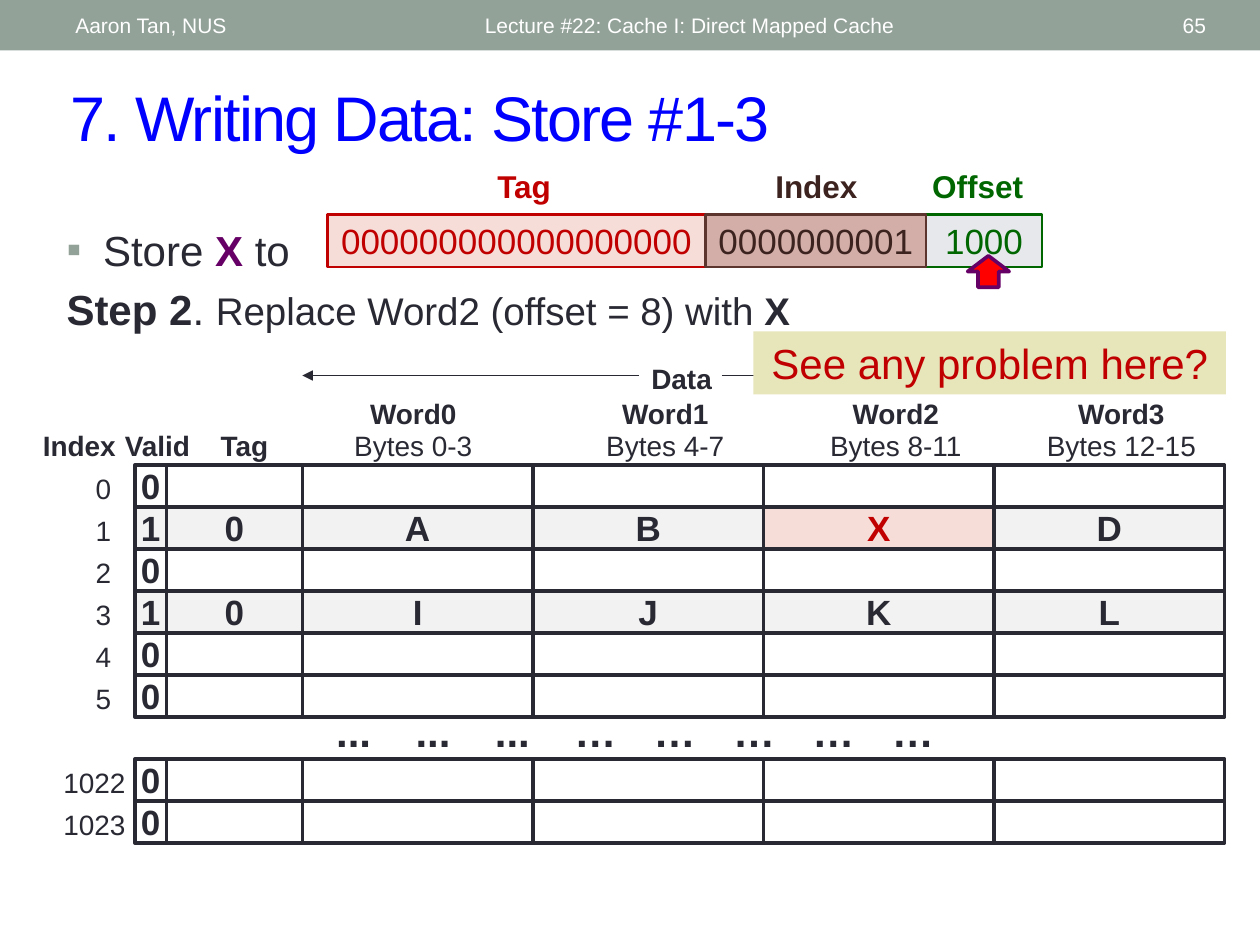
from lxml.etree import SubElement
from pptx import Presentation
from pptx.dml.color import RGBColor
from pptx.enum.shapes import MSO_CONNECTOR, MSO_SHAPE
from pptx.enum.text import MSO_ANCHOR, MSO_AUTO_SIZE, PP_ALIGN
from pptx.oxml.ns import qn
from pptx.util import Inches, Pt

INK = RGBColor(0x29, 0x29, 0x34)
SAGE = RGBColor(0x93, 0xA2, 0x99)
WHITE = RGBColor(0xFF, 0xFF, 0xFF)
BLUE = RGBColor(0x00, 0x00, 0xFF)
RED = RGBColor(0xC0, 0x00, 0x00)
BRIGHT = RGBColor(0xFF, 0x00, 0x00)
PINK = RGBColor(0xF6, 0xDD, 0xD8)
GREEN = RGBColor(0x00, 0x66, 0x00)
PALE = RGBColor(0xE6, 0xE8, 0xEC)
BROWN = RGBColor(0x3C, 0x23, 0x1F)
RUST = RGBColor(0x5B, 0x35, 0x2E)
CLAY = RGBColor(0xD3, 0xAE, 0xA8)
PURPLE = RGBColor(0x66, 0x00, 0x66)
SAND = RGBColor(0xE7, 0xE5, 0xBA)
GREY = RGBColor(0xF2, 0xF2, 0xF2)

LEFT, CENTER, RIGHT = PP_ALIGN.LEFT, PP_ALIGN.CENTER, PP_ALIGN.RIGHT

# Cache table: column widths, top edge and row pitch in inches
WIDTHS = [0.25, 1.08] + [1.83] * 4
GRID_X, GRID_Y, ROW_H = 1.07, 3.69, 1 / 3
BLANK = ["0"] + [""] * 5
ROWS = {
    0: ("0", BLANK),
    1: ("1", ["1", "0", "A", "B", "X", "D"]),
    2: ("2", BLANK),
    3: ("3", ["1", "0", "I", "J", "K", "L"]),
    4: ("4", BLANK),
    5: ("5", BLANK),
    7: ("1022", BLANK),
    8: ("1023", BLANK),
}


def set_font(font, size, color, bold=False):
    font.name, font.size, font.bold = "Arial", Pt(size), bold
    font.color.rgb = color


def add_text(slide, text, x, y, w, h, size, color=INK, bold=False,
             align=CENTER, anchor=MSO_ANCHOR.TOP):
    box = slide.shapes.add_textbox(Inches(x), Inches(y), Inches(w), Inches(h))
    frame = box.text_frame
    frame.word_wrap, frame.vertical_anchor = True, anchor
    par = frame.paragraphs[0]
    par.text, par.alignment = text, align
    set_font(par.font, size, color, bold)
    return par


def add_label(slide, text, mid, y, bold=False):
    """Add a 16 pt label centred on x = mid."""
    add_text(slide, text, mid - 0.8, y, 1.6, 0.37, 16, bold=bold)


def add_box(slide, x, y, w, h, fill=None, line=None, weight=2,
            kind=MSO_SHAPE.RECTANGLE):
    box = slide.shapes.add_shape(kind, Inches(x), Inches(y), Inches(w), Inches(h))
    box.shadow.inherit = False
    if fill is None:
        box.fill.background()
    else:
        box.fill.solid()
        box.fill.fore_color.rgb = fill
    if line is None:
        box.line.fill.background()
    else:
        box.line.color.rgb, box.line.width = line, Pt(weight)
    return box


def fill_text(box, text, size, color, bold=False):
    frame = box.text_frame
    frame.margin_left = frame.margin_right = 0
    frame.margin_top = frame.margin_bottom = 0
    frame.vertical_anchor, frame.word_wrap = MSO_ANCHOR.MIDDLE, False
    par = frame.paragraphs[0]
    par.text, par.alignment = text, CENTER
    set_font(par.font, size, color, bold)


def add_arrow(slide, x1, x2, y):
    line = slide.shapes.add_connector(
        MSO_CONNECTOR.STRAIGHT, Inches(x1), Inches(y), Inches(x2), Inches(y))
    line.line.color.rgb, line.line.width = INK, Pt(0.75)
    SubElement(line.line._get_or_add_ln(), qn("a:tailEnd"), type="triangle")
    SubElement(line._element.spPr, qn("a:effectLst"))


def add_runs(par, parts):
    for text, size, color, bold in parts:
        run = par.add_run()
        run.text = text
        set_font(run.font, size, color, bold)


def add_head(slide):
    add_box(slide, 0, 0, 10, 0.4, SAGE)
    for text, x, w, align in (
            ("Aaron Tan, NUS", 0.5, 3.17, LEFT),
            ("Lecture #22: Cache I: Direct Mapped Cache", 3.75, 4.5, LEFT),
            ("65", 8.72, 0.95, RIGHT)):
        add_text(slide, text, x, 0.02, w, 0.36, 12, WHITE, align=align,
                 anchor=MSO_ANCHOR.MIDDLE)
    title = slide.shapes.title
    title.left, title.top = Inches(0.46), Inches(0.57)
    title.width, title.height = Inches(9.21), Inches(0.7)
    frame = title.text_frame
    frame.auto_size, frame.vertical_anchor = MSO_AUTO_SIZE.NONE, MSO_ANCHOR.MIDDLE
    par = frame.paragraphs[0]
    par.alignment = LEFT
    add_runs(par, [("7. Writing Data: Store #1-3", 36, BLUE, False)])
    par.runs[0].font._element.set("spc", "-100")


def add_steps(slide):
    box = slide.shapes.add_textbox(Inches(0.43), Inches(1.73), Inches(9.33), Inches(1.04))
    frame = box.text_frame
    frame.word_wrap = True
    store, step = frame.paragraphs[0], frame.add_paragraph()
    props = store._p.get_or_add_pPr()
    props.set("marL", str(Inches(0.29)))
    props.set("indent", str(-Inches(0.29)))
    SubElement(SubElement(props, qn("a:buClr")), qn("a:srgbClr"), val=str(SAGE))
    SubElement(props, qn("a:buFont"), typeface="Arial")
    SubElement(props, qn("a:buChar"), char="▪")
    add_runs(store, [("Store ", 24, INK, False), ("X", 24, PURPLE, True),
                     (" to", 24, INK, False)])
    step.space_before = Pt(5)
    add_runs(step, [("Step 2", 24, INK, True), (". ", 24, INK, False),
                    ("Replace Word2 (offset = 8) with ", 22, INK, False),
                    ("X", 22, INK, True)])


def add_fields(slide):
    """Add the address fields, with the arrow under the offset."""
    for name, bits, x, w, mid, fill, line, color in (
            ("Tag", "0" * 18, 2.6, 3, 4.16, PINK, RED, RED),
            ("Offset", "1000", 7.35, 0.92, 7.76, PALE, GREEN, GREEN),
            ("Index", "0000000001", 5.6, 1.75, 6.48, CLAY, RUST, BROWN)):
        box = add_box(slide, x, 1.7, w, 0.42, fill, line, 1.5)
        fill_text(box, bits, 20, color)
        add_text(slide, name, mid - 0.6, 1.28, 1.2, 0.4, 18, color, True)
    add_box(slide, 7.68, 2.03, 0.33, 0.25, BRIGHT, PURPLE, 2.08, MSO_SHAPE.UP_ARROW)


def add_names(slide):
    """Add the column headings of the cache."""
    for text, mid in (("Index", 0.63), ("Valid", 1.25), ("Tag", 1.94)):
        add_label(slide, text, mid, 3.35, True)
    for i, (span, mid) in enumerate((("0-3", 3.28), ("4-7", 5.28),
                                     ("8-11", 7.11), ("12-15", 8.9))):
        add_label(slide, f"Word{i}", mid, 3.1, True)
        add_label(slide, f"Bytes {span}", mid, 3.35)
    add_label(slide, "Data", 5.41, 2.82, True)
    add_arrow(slide, 5.07, 2.4, 2.98)
    add_arrow(slide, 5.73, 9.65, 2.98)


def add_cache(slide):
    for row, (index, cells) in ROWS.items():
        y = GRID_Y + row * ROW_H
        add_label(slide, index, 0.75 if row > 6 else 0.82, y)
        for col, (text, w) in enumerate(zip(cells, WIDTHS)):
            fill, color = (GREY if cells[0] == "1" else None), INK
            if text == "X":
                fill, color = PINK, RED
            box = add_box(slide, GRID_X + sum(WIDTHS[:col]), y, w, ROW_H, fill, INK)
            if text:
                fill_text(box, text, 20, color, True)


def add_dots(slide):
    marks = ["..."] * 3 + ["…"] * 5
    par = add_text(slide, "\t".join(marks), 2.57, 5.55, 5.5, 0.5, 24,
                   bold=True, align=LEFT)
    props = par._p.get_or_add_pPr()
    tabs = props.makeelement(qn("a:tabLst"), {})
    props.insert(0, tabs)
    for i in range(1, len(marks)):
        SubElement(tabs, qn("a:tab"), pos=str(Inches(0.63 * i)), algn="l")


def main():
    deck = Presentation()
    deck.slide_width, deck.slide_height = Inches(10), Inches(7.5)
    slide = deck.slides.add_slide(deck.slide_layouts[5])
    add_head(slide)
    add_steps(slide)
    add_cache(slide)
    add_dots(slide)
    add_names(slide)
    add_fields(slide)
    note = add_box(slide, 5.98, 2.63, 3.75, 0.5, SAND)
    fill_text(note, "See any problem here?", 24, RED)
    deck.save("out.pptx")


if __name__ == "__main__":
    main()
